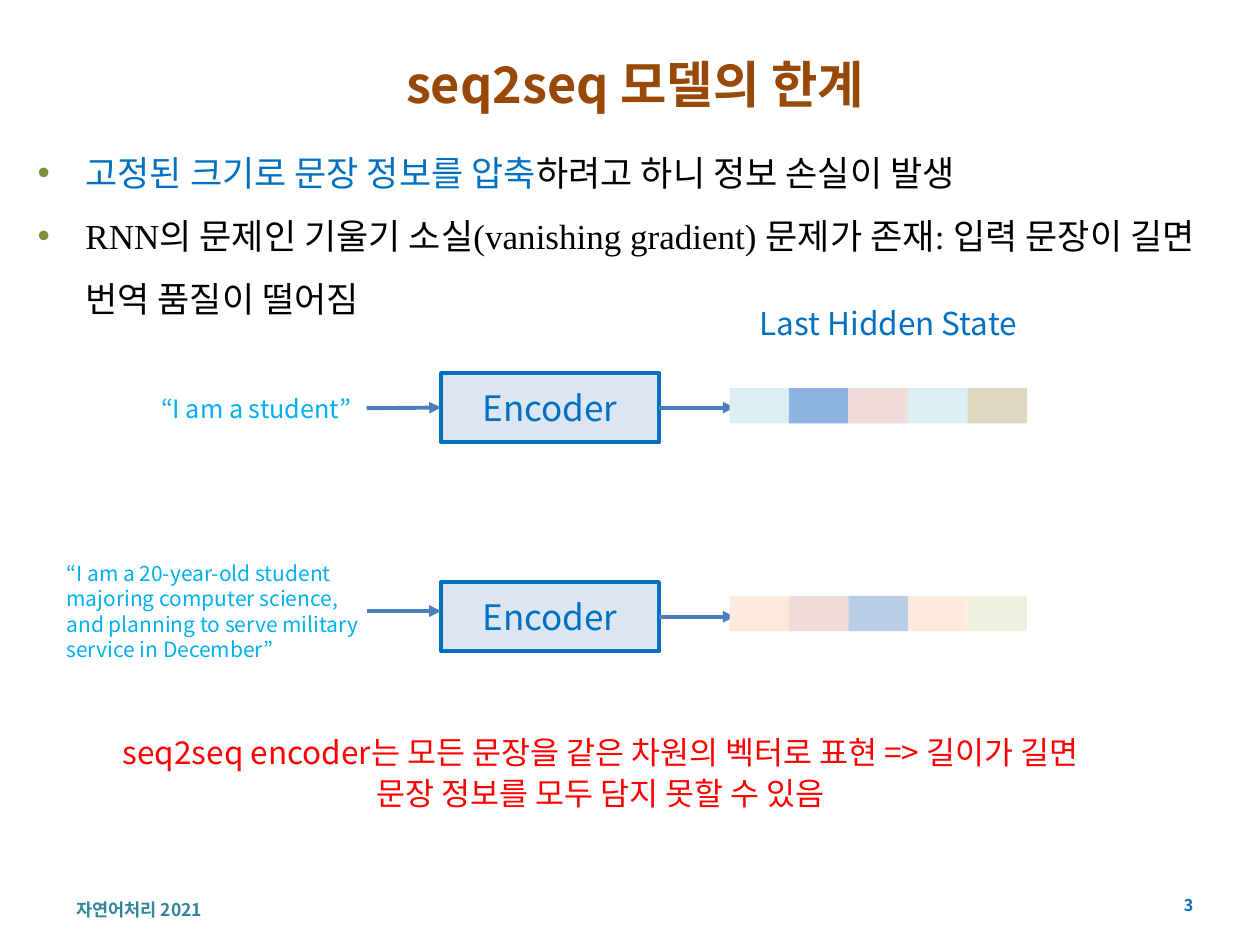
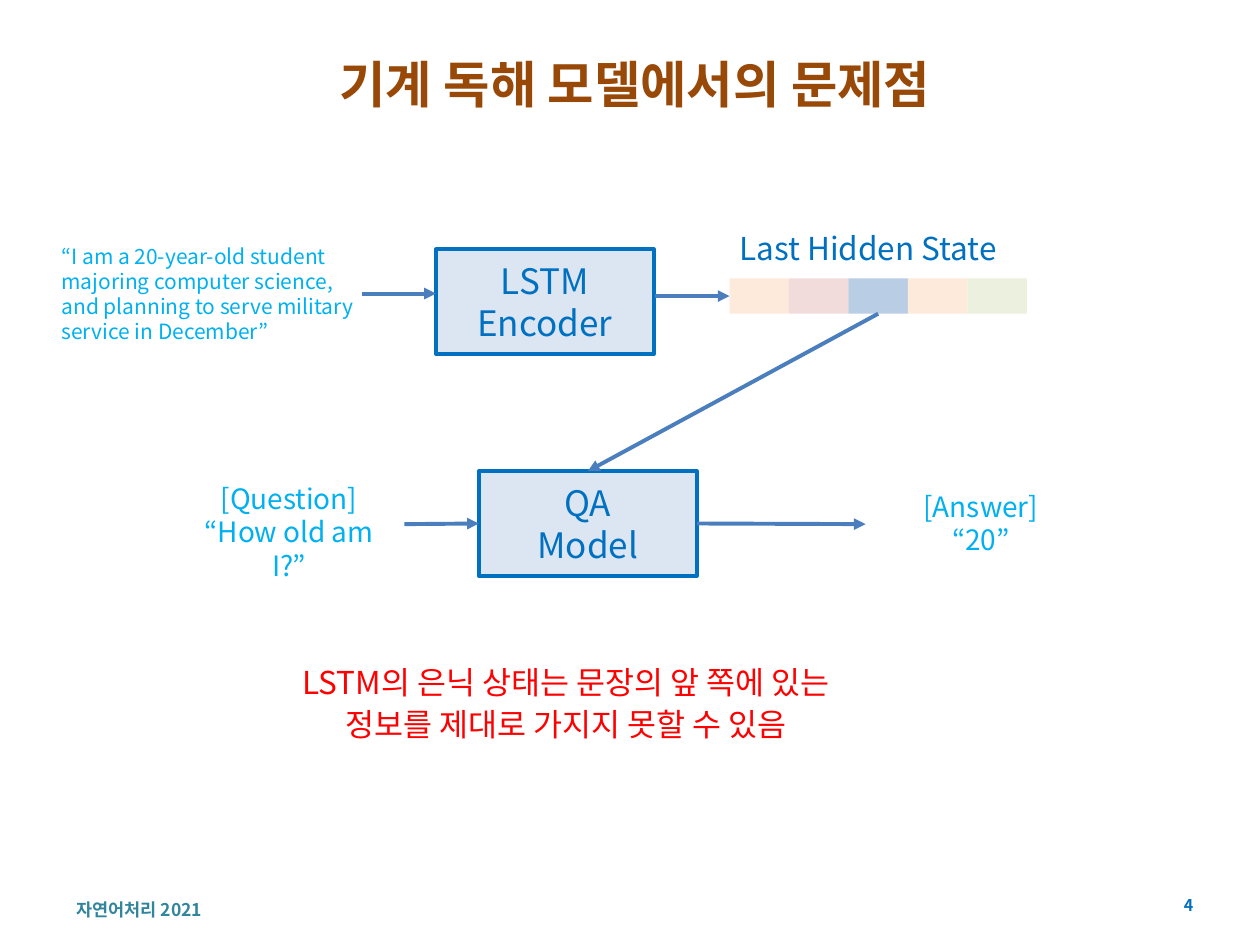
from dataclasses import dataclass

from lxml.etree import SubElement
from pptx import Presentation
from pptx.dml.color import RGBColor
from pptx.enum.shapes import MSO_CONNECTOR, MSO_SHAPE
from pptx.enum.text import MSO_ANCHOR, PP_ALIGN
from pptx.oxml.ns import qn
from pptx.util import Inches, Pt


@dataclass(frozen=True)
class Theme:
    sans: str = "Noto Sans CJK KR"
    serif: str = "Times New Roman"
    brown: str = "984807"
    blue: str = "0070C0"
    sky: str = "00B0F0"
    red: str = "FF0000"
    teal: str = "31859C"
    black: str = "000000"
    bullet: str = "77933C"
    panel: str = "DCE6F2"
    arrow: str = "4B7EBC"
    stroke: float = 2.25
    title: float = 28.8
    body: float = 20
    note: float = 18
    talk: float = 16
    quote: float = 14.4
    small: float = 12
    foot: float = 10
    page: float = 9.2


T = Theme()
LEFT, MID, RIGHT = PP_ALIGN.LEFT, PP_ALIGN.CENTER, PP_ALIGN.RIGHT
STYLES = {
    "title": dict(size=T.title, color=T.brown, align=MID, bold=True),
    "body": dict(size=T.body, color=T.black, align=LEFT, name=T.serif, gap=1.5),
    "model": dict(size=T.body, color=T.blue, align=MID),
    "label": dict(size=T.note, color=T.blue, align=MID),
    "claim": dict(size=T.note, color=T.red, align=MID, gap=1.1),
    "talk": dict(size=T.talk, color=T.sky, align=MID),
    "quote": dict(size=T.quote, color=T.sky, align=LEFT),
    "small": dict(size=T.small, color=T.sky, align=LEFT),
    "foot": dict(size=T.foot, color=T.teal, align=LEFT, bold=True),
    "page": dict(size=T.page, color=T.blue, align=RIGHT, bold=True),
}
BOX_W, BOX_H, TALL_H = 1.73, 0.55, 0.83
CELL_X, CELL_W, CELL_H = 5.79, 0.472, 0.28
SHORT_ROW = ["DBEEF4", "8EB4E3", "F2DCDB", "DBEEF4", "DDD9C3"]
LONG_ROW = ["FDEADA", "F2DCDB", "B9CDE5", "FDEADA", "EBF1DE"]
LONG_TEXT = ("“I am a 20-year-old student majoring computer science, "
             "and planning to serve military service in December”")


def put(slide, at, style=None, paras=(), fill=None, edge=None):
    """Add a text box, or a rectangle if fill is given; a paragraph is a
    string or a list of (text, colour) runs."""
    area = [Inches(v) for v in at]
    if fill:
        shape = slide.shapes.add_shape(MSO_SHAPE.RECTANGLE, *area)
        shape.shadow.inherit = False
        shape.fill.solid()
        shape.fill.fore_color.rgb = RGBColor.from_string(fill)
        shape.line.fill.background()
        if edge:
            shape.line.color.rgb = RGBColor.from_string(edge)
            shape.line.width = Pt(T.stroke)
    else:
        shape = slide.shapes.add_textbox(*area)
    frame = shape.text_frame
    frame.word_wrap = True
    frame.vertical_anchor = MSO_ANCHOR.MIDDLE
    for i, para in enumerate(paras):
        look = STYLES[style]
        line = frame.paragraphs[0] if i == 0 else frame.add_paragraph()
        line.alignment = look["align"]
        line.line_spacing = look.get("gap")
        for text, color in para if isinstance(para, list) else [(para, look["color"])]:
            run = line.add_run()
            run.text = text
            form = dict(size=Pt(look["size"]), bold=look.get("bold", False),
                        name=look.get("name", T.sans))
            for key, value in form.items():
                setattr(run.font, key, value)
            run.font.color.rgb = RGBColor.from_string(color)
            SubElement(run.font._element, qn("a:ea"), typeface=T.sans)
    return shape


def link(slide, start, end, tail=None, head=None):
    """Draw an arrow; tail and head are (shape, side) joins."""
    line = slide.shapes.add_connector(
        MSO_CONNECTOR.STRAIGHT, *[Inches(v) for v in (*start, *end)])
    if tail:
        line.begin_connect(*tail)
    if head:
        line.end_connect(*head)
    line.line.color.rgb = RGBColor.from_string(T.arrow)
    line.line.width = Pt(T.stroke)
    SubElement(line.line._get_or_add_ln(), qn("a:tailEnd"), type="triangle")
    SubElement(line._element.spPr, qn("a:effectLst"))


deck = Presentation()
deck.slide_width, deck.slide_height = Inches(10), Inches(7.5)

pages = []
for num, title in [(3, "seq2seq 모델의 한계"), (4, "기계 독해 모델에서의 문제점")]:
    slide = deck.slides.add_slide(deck.slide_layouts[6])
    put(slide, (0.51, 7.14, 2.6, 0.16), "foot", ["자연어처리 2021"])
    put(slide, (9.02, 7.06, 0.55, 0.24), "page", [str(num)])
    put(slide, (0.51, 0.36, 9.06, 0.6), "title", [title])
    pages.append(slide)
limits, reading = pages

# Slide 3: sentences of any length end in a vector of one size
body = put(limits, (0.2, 0.99, 9.61, 1.89), "body", [
    [("고정된 크기로 문장 정보를 압축", T.blue),
     ("하려고 하니 정보 손실이 발생", T.black)],
    "RNN의 문제인 기울기 소실(vanishing gradient) 문제가 존재: "
    "입력 문장이 길면 번역 품질이 떨어짐",
])
body.text_frame.vertical_anchor = MSO_ANCHOR.TOP
for para in body.text_frame.paragraphs:
    props = para._p.get_or_add_pPr()
    props.set("marL", str(Inches(0.38)))
    props.set("indent", str(-Inches(0.38)))
    SubElement(SubElement(props, qn("a:buClr")), qn("a:srgbClr"), val=T.bullet)
    SubElement(props, qn("a:buFont"), typeface="Arial")
    SubElement(props, qn("a:buChar"), char="•")

for top, entry, row_y, row in [(2.96, 3.24, 3.08, SHORT_ROW),
                               (4.62, 4.85, 4.73, LONG_ROW)]:
    coder = put(limits, (3.5, top, BOX_W, BOX_H), "model", ["Encoder"],
                T.panel, T.blue)
    mid = top + BOX_H / 2
    link(limits, (5.23, mid), (5.83, mid), tail=(coder, 3))
    link(limits, (2.91, entry), (3.5, entry),
         head=(coder, 1) if abs(entry - mid) < 0.02 else None)
    for i, color in enumerate(row):
        put(limits, (CELL_X + i * CELL_W, row_y, CELL_W, CELL_H), fill=color)

put(limits, (5.79, 2.33, 2.52, 0.47), "label", ["Last Hidden State"])
put(limits, (1.18, 2.99, 1.73, 0.51), "quote", ["“I am a student”"])
put(limits, (0.43, 4.34, 2.6, 1.02), "small", [LONG_TEXT])
put(limits, (0.67, 5.72, 8.19, 0.79), "claim",
    ["seq2seq encoder는 모든 문장을 같은 차원의 벡터로 표현 => "
     "길이가 길면 문장 정보를 모두 담지 못할 수 있음"])

# Slide 4: the last hidden state feeds the QA model
put(reading, (2.01, 5.17, 4.96, 0.79), "claim",
    ["LSTM의 은닉 상태는 문장의 앞 쪽에 있는 정보를 제대로 가지지 못할 수 있음"])
put(reading, (3.46, 1.98, BOX_W, TALL_H), "model", ["LSTM", "Encoder"],
    T.panel, T.blue)
model = put(reading, (3.8, 3.74, BOX_W, TALL_H), "model", ["QA", "Model"],
            T.panel, T.blue)
cells = [put(reading, (CELL_X + i * CELL_W, 2.21, CELL_W, CELL_H), fill=color)
         for i, color in enumerate(LONG_ROW)]

link(reading, (2.87, 2.33), (3.46, 2.33))
link(reading, (5.2, 2.35), (5.79, 2.35), head=(cells[0], 1))
link(reading, (6.97, 2.49), (4.67, 3.74), tail=(cells[2], 2), head=(model, 0))
link(reading, (3.21, 4.16), (3.8, 4.16), head=(model, 1))
link(reading, (5.53, 4.16), (6.87, 4.16), tail=(model, 3))

put(reading, (5.63, 1.73, 2.52, 0.47), "label", ["Last Hidden State"])
put(reading, (0.39, 1.82, 2.6, 1.02), "small", [LONG_TEXT])
put(reading, (1.38, 3.71, 1.83, 1.02), "talk", ["[Question]", "“How old am I?”"])
put(reading, (6.87, 3.64, 1.83, 1.02), "talk", ["[Answer]", "“20”"])

deck.save("out.pptx")
